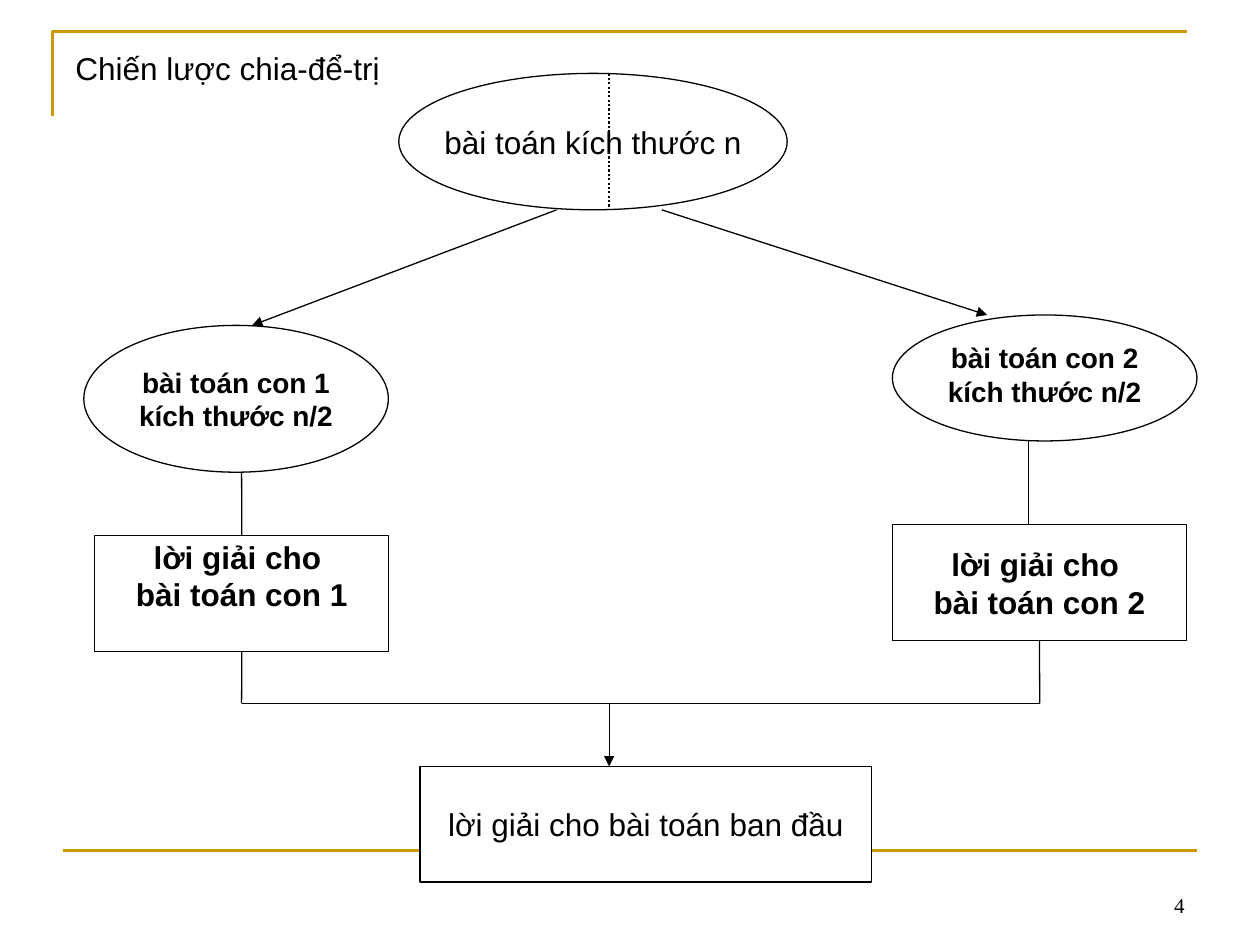
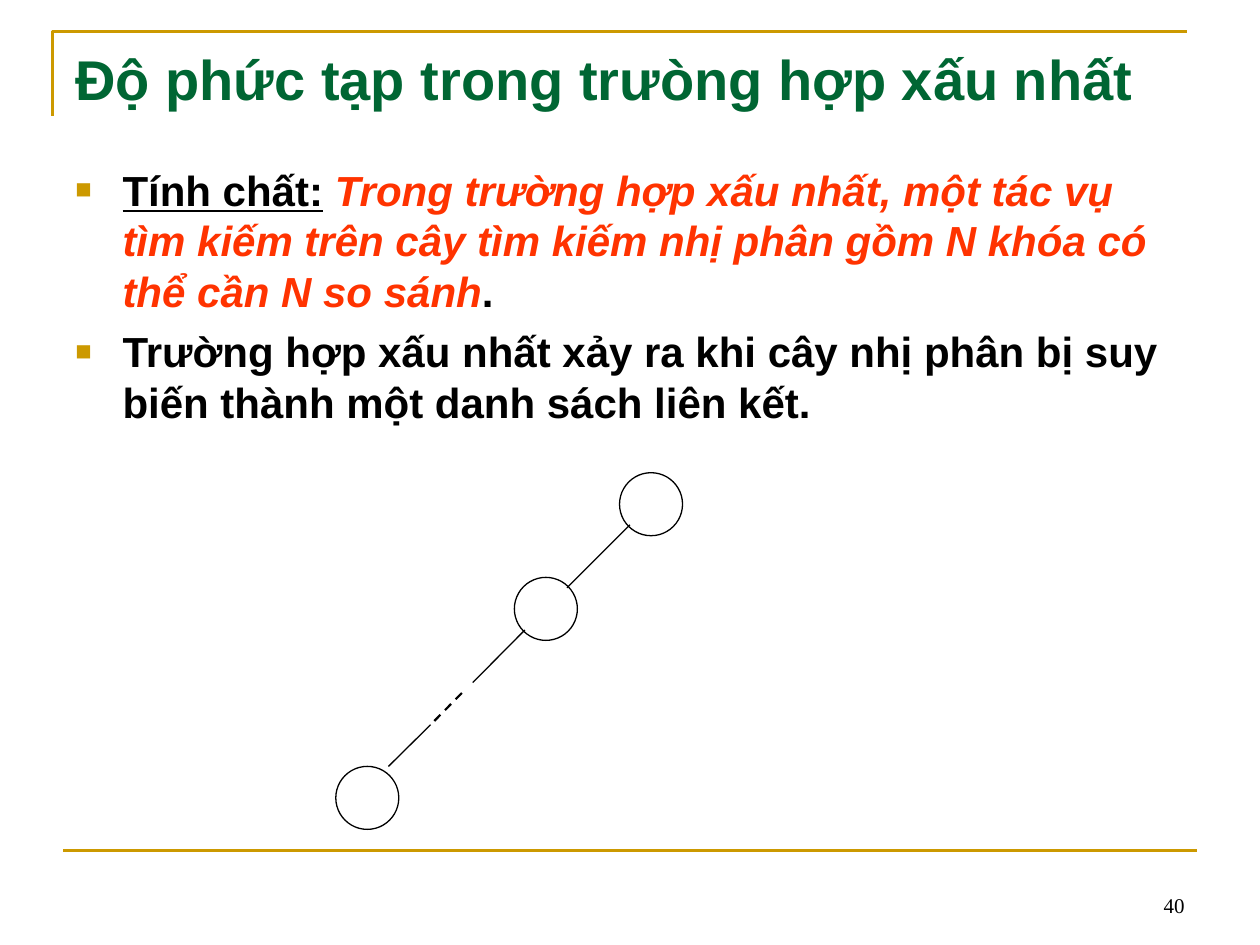
import pptx
import pptx.dml.color
import pptx.enum.dml
import pptx.enum.shapes
import pptx.enum.text
import pptx.oxml.ns
import pptx.util
from lxml import etree

Cm = pptx.util.Cm
Pt = pptx.util.Pt
Shapes = pptx.enum.shapes.MSO_SHAPE
Dash = pptx.enum.dml.MSO_LINE
Align = pptx.enum.text.PP_ALIGN
Anchor = pptx.enum.text.MSO_ANCHOR
qn = pptx.oxml.ns.qn

COLORS = {"gold": "CC9900", "green": "006633", "red": "FF3300",
          "black": "000000", "white": "FFFFFF"}

# Shared frame, in centimetres
CORNER = [(1.06, 2.33), (1.06, 0.64), (23.92, 0.64)]
FOOTER_LINE = ((1.27, 17.15), (24.13, 17.15))
NUMBER_BOX = (18.2, 17.36, 5.93, 1.27)

# Slide 1: divide-and-conquer diagram
# name: (kind, box, lines, size, bold, fill, bottom inset)
STRATEGY_TITLE = "Chiến lược chia-để-trị"
STRATEGY_PARTS = {
    "problem": (Shapes.OVAL, (8.04, 1.48, 7.83, 2.75),
                ["bài toán kích thước n"], 18, False, None, 0.13),
    "subproblem 1": (Shapes.OVAL, (1.69, 6.56, 6.14, 2.96),
                     ["bài toán con 1", "kích thước n/2"], 16, True, None, 0.13),
    "subproblem 2": (Shapes.OVAL, (17.99, 6.35, 6.14, 2.54),
                     ["bài toán con 2", "kích thước n/2"], 16, True, None, 0.28),
    "solution 1": (Shapes.RECTANGLE, (1.91, 10.8, 5.93, 2.33),
                   ["lời giải cho ", "bài toán con 1"], 18, True, None, 0.86),
    "solution 2": (Shapes.RECTANGLE, (17.99, 10.58, 5.93, 2.33),
                   ["lời giải cho ", "bài toán con 2"], 18, True, None, 0.13),
    "whole solution": (Shapes.RECTANGLE, (8.47, 15.45, 9.1, 2.33),
                       ["lời giải cho bài toán ban đầu"], 18, False, "white", 0.13),
}
SPLIT_LINE = ((12.28, 1.48), (12.28, 4.23))
MERGE_LINE = ((4.87, 14.18), (20.96, 14.18))
ARROWS = [
    ((11.22, 4.23), (5.08, 6.56)),
    ((13.34, 4.23), (19.9, 6.35)),
    ((12.28, 14.18), (12.28, 15.45)),
]
# (start, end, part joined at the start, its side)
JOINED_LINES = [
    ((4.87, 10.8), (4.87, 9.52), "solution 1", 0),
    ((4.87, 13.13), (4.87, 14.18), "solution 1", 2),
    ((20.96, 12.91), (20.96, 14.18), "solution 2", 2),
]
RIGHT_LINE = ((20.74, 10.58), (20.74, 8.89))

# Slide 2: worst case, runs are (text, colour, underline, italic)
WORST_TITLE = "Độ phức tạp trong trưòng hợp xấu nhất"
WORST_POINTS = [
    [("Tính chất:", "black", True, False),
     (" ", "black", False, False),
     ("Trong trường hợp xấu nhất, một tác vụ tìm kiếm trên cây tìm kiếm "
      "nhị phân gồm N khóa có thể cần N so sánh", "red", False, True),
     (".", "black", False, False)],
    [("Trường hợp xấu nhất xảy ra khi cây nhị phân bị suy biến thành một "
      "danh sách liên kết.", "black", False, False)],
]
NODE_SIZE = 1.27
NODES = [(12.49, 9.53), (10.37, 11.64), (6.77, 15.45)]
TREE_LINES = [
    ((12.7, 10.58), (11.43, 11.85)),
    ((10.58, 12.7), (9.53, 13.76)),
    ((8.68, 14.61), (7.83, 15.45)),
]
OMITTED_LINE = ((9.31, 13.97), (8.68, 14.61))


def color(name):
    return pptx.dml.color.RGBColor.from_string(COLORS[name])


def lengths(values):
    return [Cm(value) for value in values]


def add_run(paragraph, text, size, color_name="black", bold=False,
            font="Arial", underline=False, italic=False):
    run = paragraph.add_run()
    run.text = text
    run.font.name = font
    run.font.size = Pt(size)
    run.font.bold = bold
    run.font.italic = italic
    run.font.underline = underline
    run.font.color.rgb = color(color_name)


def set_frame(frame, anchor, wrap, bottom=0.13):
    frame.margin_left = frame.margin_right = Cm(0.25)
    frame.margin_top, frame.margin_bottom = Cm(0.13), Cm(bottom)
    frame.vertical_anchor = anchor
    frame.word_wrap = wrap
    frame.auto_size = pptx.enum.text.MSO_AUTO_SIZE.NONE


def place(shape, box):
    shape.left, shape.top, shape.width, shape.height = lengths(box)


def set_line(shape, color_name="black", width=0.75):
    shape.line.color.rgb = color(color_name)
    shape.line.width = Pt(width)


def add_line(slide, start, end, color_name="black", width=0.75,
             dash=None, arrow=False):
    line = slide.shapes.add_connector(
        pptx.enum.shapes.MSO_CONNECTOR.STRAIGHT, *lengths(start + end))
    set_line(line, color_name, width)
    if dash:
        line.line.dash_style = dash
    properties = line._element.spPr
    if arrow:
        etree.SubElement(properties.find(qn("a:ln")), qn("a:tailEnd"), type="triangle")
    etree.SubElement(properties, qn("a:effectLst"))
    return line


def add_outline(slide, kind, box, fill=None):
    shape = slide.shapes.add_shape(kind, *lengths(box))
    shape.shadow.inherit = False
    set_line(shape)
    if fill:
        shape.fill.solid()
        shape.fill.fore_color.rgb = color(fill)
    else:
        shape.fill.background()
    return shape


def add_bullet(paragraph):
    properties = paragraph._p.get_or_add_pPr()
    properties.set("marL", str(Cm(0.95)))
    properties.set("indent", str(-Cm(0.95)))
    bullet_color = etree.SubElement(properties, qn("a:buClr"))
    etree.SubElement(bullet_color, qn("a:srgbClr"), val=COLORS["gold"])
    etree.SubElement(properties, qn("a:buSzPct"), val="65000")
    etree.SubElement(properties, qn("a:buFont"), typeface="Arial")
    etree.SubElement(properties, qn("a:buChar"), char="■")


def add_framed_slide(presentation, layout, number, title, title_box, **title_style):
    slide = presentation.slides.add_slide(presentation.slide_layouts[layout])

    # Corner and footer line
    points = [tuple(lengths(point)) for point in CORNER]
    builder = slide.shapes.build_freeform(*points[0])
    builder.add_line_segments(points[1:], close=False)
    corner = builder.convert_to_shape()
    corner.shadow.inherit = False
    corner.fill.background()
    set_line(corner, "gold", 1.5)
    add_line(slide, *FOOTER_LINE, "gold", 1.5)

    # Title
    place(slide.shapes.title, title_box)
    frame = slide.shapes.title.text_frame
    set_frame(frame, Anchor.TOP, True)
    frame.paragraphs[0].alignment = Align.LEFT
    add_run(frame.paragraphs[0], title, **title_style)

    # Slide number
    frame = slide.shapes.add_textbox(*lengths(NUMBER_BOX)).text_frame
    set_frame(frame, Anchor.BOTTOM, True)
    frame.paragraphs[0].alignment = Align.RIGHT
    add_run(frame.paragraphs[0], number, 12, font="Times New Roman")
    return slide


def build_strategy(presentation):
    slide = add_framed_slide(presentation, 5, "4", STRATEGY_TITLE,
                             (1.27, 0.85, 7.41, 1.02), size=18)
    parts = {}
    for name, (kind, box, lines, size, bold, fill, bottom) in STRATEGY_PARTS.items():
        parts[name] = add_outline(slide, kind, box, fill)
        frame = parts[name].text_frame
        set_frame(frame, Anchor.MIDDLE, False, bottom)
        for index, text in enumerate(lines):
            paragraph = frame.add_paragraph() if index else frame.paragraphs[0]
            paragraph.alignment = Align.CENTER
            add_run(paragraph, text, size, bold=bold)

    # Lines and arrows
    add_line(slide, *SPLIT_LINE, width=1.25, dash=Dash.ROUND_DOT)
    for start, end, name, side in JOINED_LINES:
        add_line(slide, start, end).begin_connect(parts[name], side)
    for start, end in (MERGE_LINE, RIGHT_LINE):
        add_line(slide, start, end)
    for start, end in ARROWS:
        add_line(slide, start, end, arrow=True)


def build_worst_case(presentation):
    slide = add_framed_slide(presentation, 1, "40", WORST_TITLE,
                             (1.27, 0.76, 22.86, 1.78),
                             size=32, color_name="green", bold=True)
    # Bulleted text
    body = slide.placeholders[1]
    place(body, (1.27, 3.18, 22.86, 5.92))
    frame = body.text_frame
    set_frame(frame, Anchor.TOP, True)
    for index, runs in enumerate(WORST_POINTS):
        paragraph = frame.add_paragraph() if index else frame.paragraphs[0]
        paragraph.space_before = Pt(6)
        add_bullet(paragraph)
        for text, color_name, underline, italic in runs:
            add_run(paragraph, text, 24, color_name, True,
                    underline=underline, italic=italic)

    # Degenerate tree
    for left, top in NODES:
        add_outline(slide, Shapes.OVAL, (left, top, NODE_SIZE, NODE_SIZE))
    for start, end in TREE_LINES:
        add_line(slide, start, end)
    add_line(slide, *OMITTED_LINE, width=1.25, dash=Dash.DASH)


def main():
    presentation = pptx.Presentation()
    presentation.slide_width, presentation.slide_height = Cm(25.4), Cm(19.05)
    build_strategy(presentation)
    build_worst_case(presentation)
    presentation.save("out.pptx")


if __name__ == "__main__":
    main()
